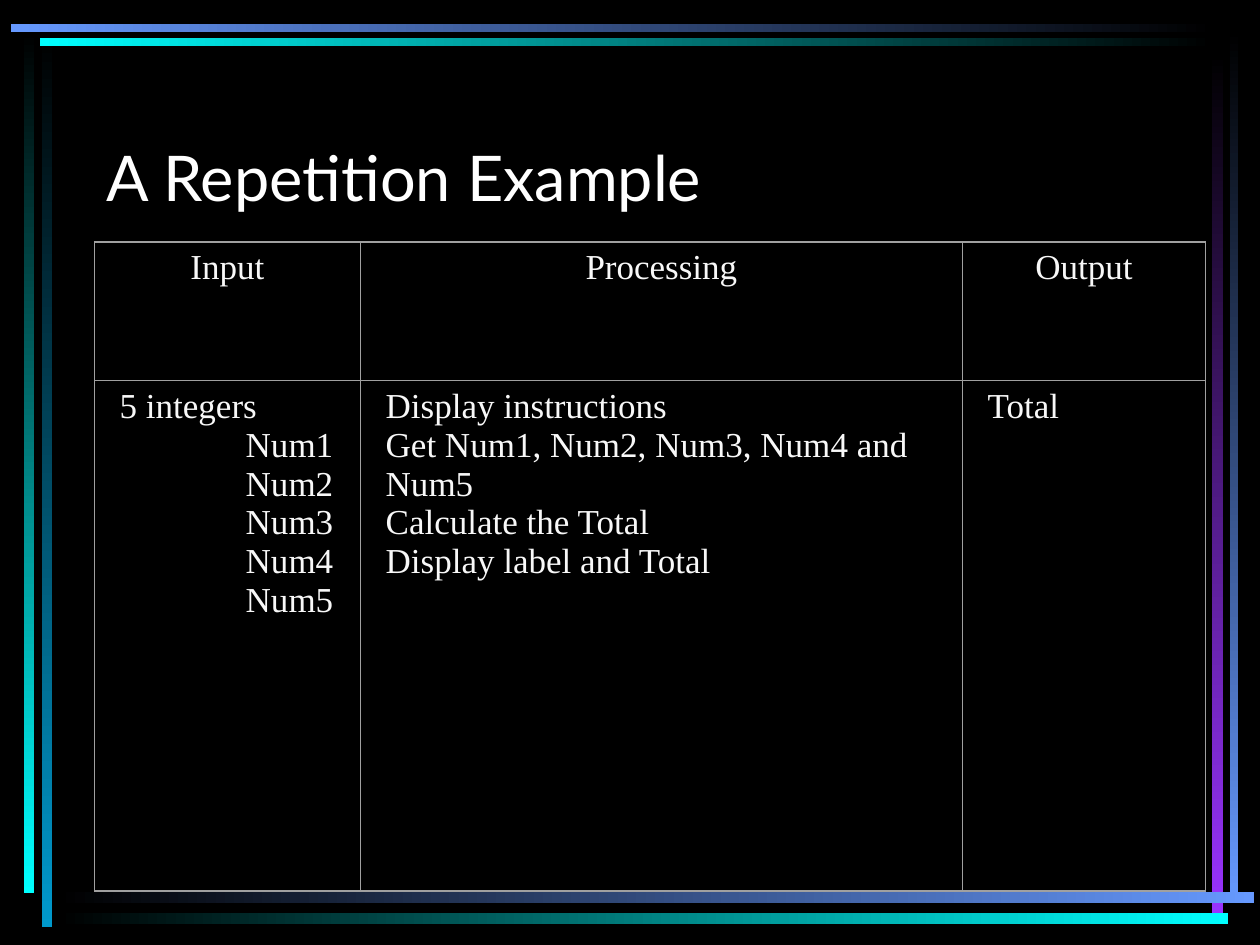
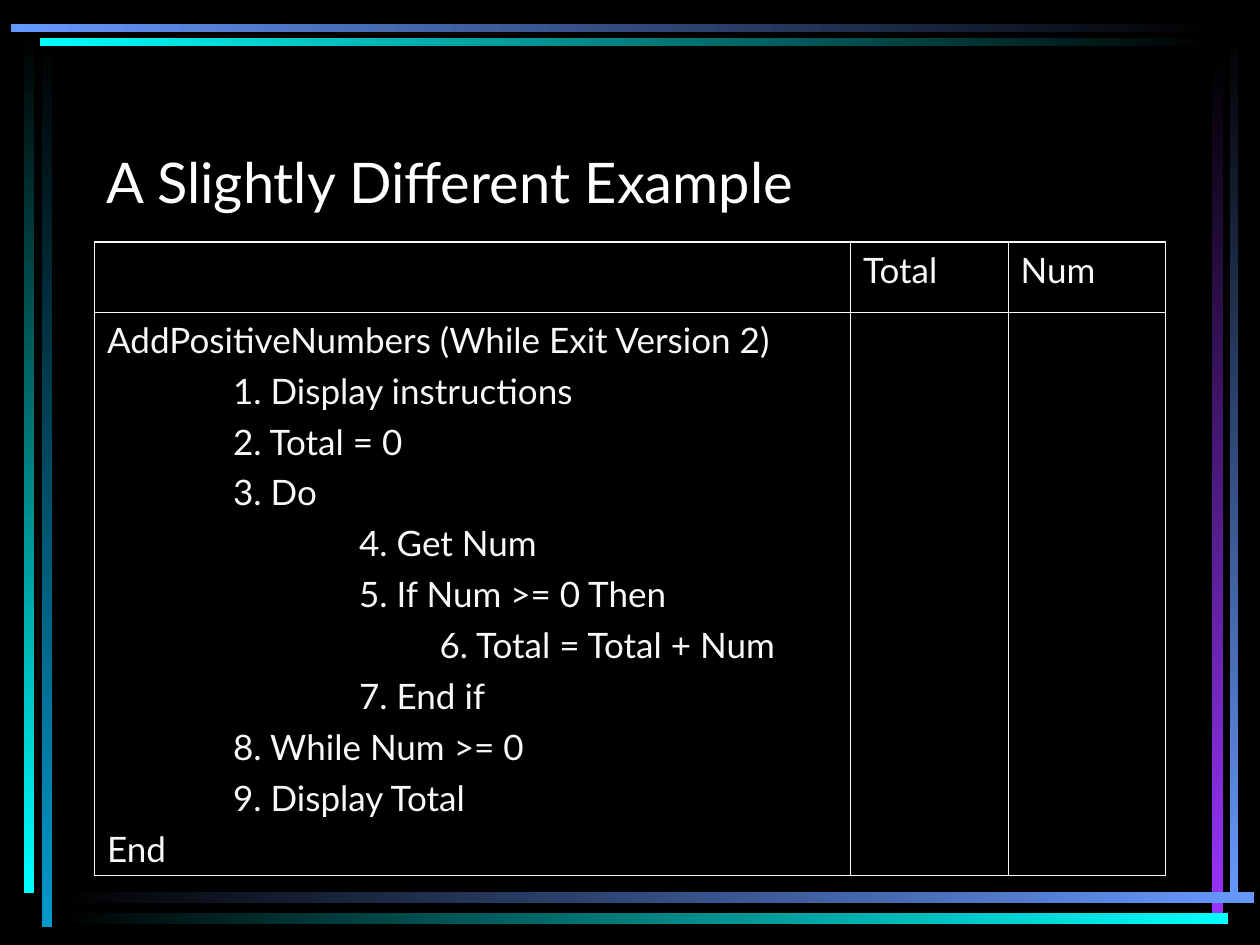
import dataclasses

import lxml.etree
import pptx
import pptx.dml.color
import pptx.enum.shapes
import pptx.enum.text
import pptx.oxml.ns
import pptx.util

Pt = pptx.util.Pt
RGB = pptx.dml.color.RGBColor.from_string
CENTER = pptx.enum.text.PP_ALIGN.CENTER


@dataclasses.dataclass(frozen=True)
class Theme:
    black: str = "000000"
    white: str = "FFFFFF"
    text: str = "F8F8F8"
    grid: str = "A0A0A0"
    cyan: str = "00FFFF"
    teal: str = "0099CC"
    blue: str = "6699FF"
    purple: str = "9933FF"
    sans: str = "Lato"
    serif: str = "Times New Roman"
    body_size: int = 20
    outer_line: float = 1
    inner_line: float = 0.5


theme = Theme()

# left, top, width, height, first colour, last colour, gradient angle
RIGHTWARD, DOWNWARD = 0, 270
bars = [
    (23.8, 20.2, 5.8, 509.8, theme.black, theme.teal, DOWNWARD),
    (13.7, 18, 6, 492.5, theme.black, theme.cyan, DOWNWARD),
    (702.7, 17.3, 5, 499, theme.black, theme.blue, DOWNWARD),
    (692.6, 30.2, 6.5, 491.8, theme.black, theme.purple, DOWNWARD),
    (32.4, 509.8, 684, 6, theme.black, theme.blue, RIGHTWARD),
    (32.4, 521.8, 669.6, 6, theme.black, theme.cyan, RIGHTWARD),
    (23, 22, 671, 4.3, theme.cyan, theme.black, RIGHTWARD),
    (6, 13.6, 688, 4.7, theme.blue, theme.black, RIGHTWARD),
]

# Each cell is a list of (indent in points, text).
slides = [
    {
        "title": "A Repetition Example", "title_size": 36,
        "font": theme.serif, "line": theme.grid,
        "cols": [152, 344, 139], "rows": [79.2, 291.6],
        "inset": 14.4, "space": 0, "header_align": CENTER,
        "cells": [
            [[(0, "Input")], [(0, "Processing")], [(0, "Output")]],
            [
                [(0, "5 integers")] + [(72, f"Num{n}") for n in range(1, 6)],
                [(0, "Display instructions"),
                 (0, "Get Num1, Num2, Num3, Num4 and Num5"),
                 (0, "Calculate the Total"),
                 (0, "Display label and Total")],
                [(0, "Total")],
            ],
        ],
    },
    {
        "title": "A Slightly Different Example", "title_size": 32,
        "font": theme.sans, "line": theme.text,
        "cols": [432, 90, 90], "rows": [40, 322],
        "inset": 7.2, "space": 5, "header_align": None,
        "cells": [
            [[], [(0, "Total")], [(0, "Num")]],
            [
                [(0, "AddPositiveNumbers (While Exit Version 2)"),
                 (72, "1. Display instructions"),
                 (72, "2. Total = 0"),
                 (72, "3. Do"),
                 (144, "4. Get Num"),
                 (144, "5. If Num >= 0 Then"),
                 (190, "6. Total = Total + Num"),
                 (144, "7. End if"),
                 (72, "8. While Num >= 0"),
                 (72, "9. Display Total"),
                 (0, "End")],
                [], [],
            ],
        ],
    },
]


def add_run(p, text, font, size, color):
    r = p.add_run()
    r.text = text
    for name, value in {"name": font, "size": Pt(size), "bold": False}.items():
        setattr(r.font, name, value)
    r.font.color.rgb = RGB(color)


def add_border(cell, side, color, width):
    """Draw one side of a cell; side is L, R, T or B."""
    qn = pptx.oxml.ns.qn
    tc_pr = cell._tc.get_or_add_tcPr()
    ln = lxml.etree.SubElement(tc_pr, qn(f"a:ln{side}"), w=str(Pt(width)))
    fill = lxml.etree.SubElement(ln, qn("a:solidFill"))
    lxml.etree.SubElement(fill, qn("a:srgbClr"), val=color)


prs = pptx.Presentation()
prs.slide_width, prs.slide_height = Pt(720), Pt(540)
background = prs.slide_master.background.fill
background.solid()
background.fore_color.rgb = RGB(theme.black)

for content in slides:
    s = prs.slides.add_slide(prs.slide_layouts[6])

    for *box, first, last, angle in bars:
        sp = s.shapes.add_shape(pptx.enum.shapes.MSO_SHAPE.RECTANGLE, *map(Pt, box))
        sp.shadow.inherit = False
        sp.line.fill.background()
        sp.fill.gradient()
        sp.fill.gradient_angle = angle
        for stop, color in zip(sp.fill.gradient_stops, (first, last)):
            stop.color.rgb = RGB(color)

    tf = s.shapes.add_textbox(Pt(54), Pt(48), Pt(612), Pt(78)).text_frame
    tf.word_wrap = True
    tf.vertical_anchor = pptx.enum.text.MSO_ANCHOR.BOTTOM
    add_run(tf.paragraphs[0], content["title"], theme.sans,
            content["title_size"], theme.white)

    cols, rows = content["cols"], content["rows"]
    table = s.shapes.add_table(len(rows), len(cols), Pt(54), Pt(138.4),
                               Pt(sum(cols)), Pt(sum(rows))).table
    table.first_row = table.horz_banding = False
    for column, width in zip(table.columns, cols):
        column.width = Pt(width)
    for row, height in zip(table.rows, rows):
        row.height = Pt(height)

    for i, cell_row in enumerate(content["cells"]):
        for j, lines in enumerate(cell_row):
            cell = table.cell(i, j)
            outer = {"L": j == 0, "R": j == len(cols) - 1,
                     "T": i == 0, "B": i == len(rows) - 1}
            for side, is_outer in outer.items():
                add_border(cell, side, content["line"],
                           theme.outer_line if is_outer else theme.inner_line)
            cell.fill.background()
            margins = {"margin_left": content["inset"], "margin_right": content["inset"],
                       "margin_top": 3.6, "margin_bottom": 3.6}
            for name, value in margins.items():
                setattr(cell, name, Pt(value))

            tf = cell.text_frame
            for k, (indent, text) in enumerate(lines):
                p = tf.add_paragraph() if k else tf.paragraphs[0]
                p.space_before = Pt(content["space"] if k else 0)
                if i == 0:
                    p.alignment = content["header_align"]
                if indent:
                    p._p.get_or_add_pPr().set("marL", str(Pt(indent)))
                add_run(p, text, content["font"], theme.body_size, theme.text)

prs.save("out.pptx")
